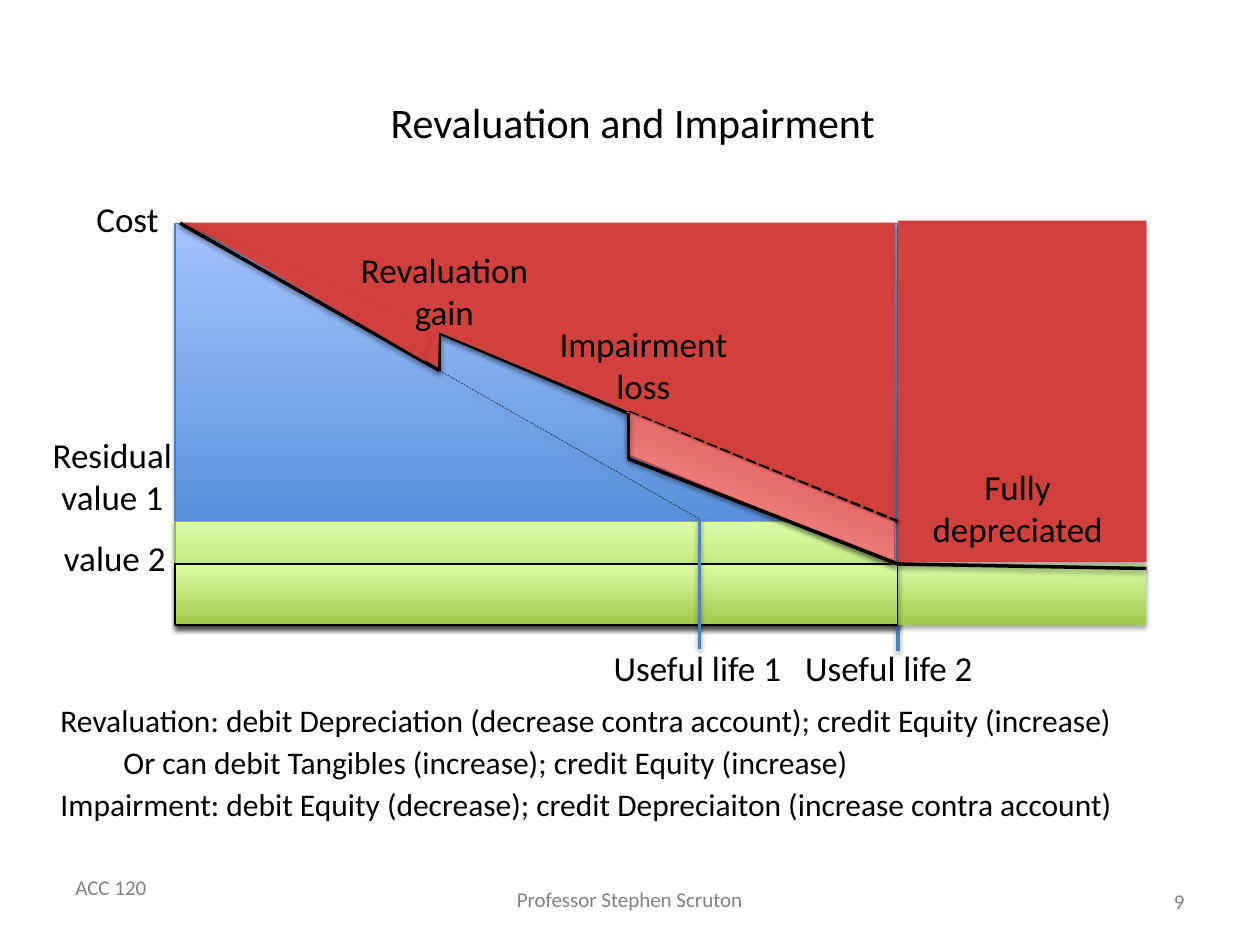
from lxml import etree
from pptx import Presentation
from pptx.dml.color import RGBColor
from pptx.enum.dml import MSO_LINE
from pptx.enum.shapes import MSO_CONNECTOR, MSO_SHAPE
from pptx.enum.text import MSO_ANCHOR, PP_ALIGN
from pptx.oxml.ns import qn
from pptx.util import Cm, Pt

# Chart coordinates in cm
LEFT, LIFE1, LIFE2, END = 3.53, 14.1, 18.1, 23.11
TOP, RESIDUAL1, RESIDUAL2, BASE = 4.5, 10.52, 11.37, 12.6
REVALUED = 8.86
IMPAIRED = 12.67

BLACK, GREY, RED, BLUE = "000000", "808080", "D1403C", "4F81BD"
BLUE_FADE = ("3F80CE", "A4C4FF")
GREEN_FADE = ("A0CA4A", "DAFFA5")
RED_FADE = (RED, "FFA6A5")
RED_EDGE = "BF4C48"


def color(value):
    return RGBColor.from_string(value)


def add_shadow(s, alpha, dist):
    effects = etree.SubElement(s._element.spPr, qn("a:effectLst"))
    shadow = etree.SubElement(effects, qn("a:outerShdw"), blurRad=str(Pt(3.1)),
                              dist=str(Pt(dist)), dir="5400000", rotWithShape="0")
    rgb = etree.SubElement(shadow, qn("a:srgbClr"), val=BLACK)
    etree.SubElement(rgb, qn("a:alpha"), val=str(alpha * 1000))


def add_area(slide, kind, x, y, w, h, fill, edge=None, rotation=0, flip=False):
    """Add a shaded area; a pair of colours fades from bottom to top."""
    s = slide.shapes.add_shape(kind, Cm(x), Cm(y), Cm(w), Cm(h))
    if isinstance(fill, tuple):
        s.fill.gradient()
        s.fill.gradient_angle = 90
        for stop, value in zip(s.fill.gradient_stops, fill):
            stop.color.rgb = color(value)
    else:
        s.fill.solid()
        s.fill.fore_color.rgb = color(fill)
    if edge:
        s.line.color.rgb = color(edge)
        s.line.width = Pt(0.75)
    else:
        s.line.fill.background()
    s.rotation = rotation
    if flip:
        s._element.spPr.find(qn("a:xfrm")).set("flipV", "1")
    add_shadow(s, 35, 1.8)
    return s


def add_line(slide, start, end, value=BLACK, width=2, dash=None):
    s = slide.shapes.add_connector(MSO_CONNECTOR.STRAIGHT,
                                   *(Cm(v) for v in start + end))
    s.line.color.rgb = color(value)
    s.line.width = Pt(width)
    if dash:
        s.line.dash_style = dash
    add_shadow(s, 38, 1.6)


def add_text(slide, x, y, w, h, text, size=20, value=BLACK,
             align=PP_ALIGN.CENTER, anchor=MSO_ANCHOR.TOP, wrap=False):
    s = slide.shapes.add_textbox(Cm(x), Cm(y), Cm(w), Cm(h))
    tf = s.text_frame
    tf.word_wrap = wrap
    tf.vertical_anchor = anchor
    tf.text = text
    for p in tf.paragraphs:
        p.alignment = align
        for r in p.runs:
            r.font.name = "Calibri"
            r.font.size = Pt(size)
            r.font.color.rgb = color(value)
    return tf


def add_footer(slide):
    add_text(slide, 1.27, 17.5, 1.96, 0.76, "ACC 120", 12, GREY, PP_ALIGN.LEFT)
    add_text(slide, 10.13, 17.75, 5.13, 0.76, "Professor Stephen Scruton", 12, GREY)
    add_text(slide, 18.21, 17.65, 5.92, 1.02, "9", 12, GREY, PP_ALIGN.RIGHT,
             MSO_ANCHOR.MIDDLE, wrap=True)


def add_book_value(slide):
    # Cost, first residual value and accumulated depreciation
    rect, triangle = MSO_SHAPE.RECTANGLE, MSO_SHAPE.RIGHT_TRIANGLE
    width = LIFE2 - LEFT
    add_area(slide, rect, LEFT, TOP, width, BASE - TOP, BLUE_FADE, "4B7EBC")
    add_area(slide, rect, LEFT, RESIDUAL1, width, BASE - RESIDUAL1, GREEN_FADE, "98B955")
    add_line(slide, (REVALUED, 6.71), (REVALUED, 7.47))
    add_line(slide, (REVALUED, 6.71), (IMPAIRED, 8.33))
    add_area(slide, triangle, 3.63, TOP, 14.4, RESIDUAL1 - TOP, RED, RED_EDGE, 180)
    add_line(slide, (LIFE2, RESIDUAL1), (LIFE2, 13.13), BLUE)

    # Fully depreciated period
    width = END - LIFE2
    add_area(slide, rect, LIFE2, RESIDUAL2, width, BASE - RESIDUAL2, GREEN_FADE)
    add_line(slide, (END, 11.46), (LIFE2, RESIDUAL2))
    add_area(slide, rect, LIFE2, 4.45, width, 6.88, RED)


def add_impairment(slide):
    add_area(slide, MSO_SHAPE.RECTANGLE, LEFT, RESIDUAL2, LIFE2 - LEFT,
             BASE - RESIDUAL2, GREEN_FADE, BLACK)
    add_line(slide, (IMPAIRED, 8.31), (LIFE2, RESIDUAL1), dash=MSO_LINE.SQUARE_DOT)
    loss = add_area(slide, MSO_SHAPE.PARALLELOGRAM, 12.27, 9.45, 6.15, 0.79,
                    RED_FADE, RED_EDGE, 22.4, flip=True)
    loss.adjustments[0] = 0.415
    add_line(slide, (IMPAIRED, 9.25), (LIFE2, RESIDUAL2))
    add_line(slide, (IMPAIRED, 8.33), (IMPAIRED, 9.25))


def add_revaluation(slide):
    add_line(slide, (3.63, TOP), (REVALUED, 7.47))
    add_line(slide, (REVALUED, 7.47), (LIFE1, 10.46), width=0.25, dash=MSO_LINE.DASH)
    add_line(slide, (LIFE1, 10.46), (LIFE1, 13.08), BLUE)
    # Slivers that complete the depreciation area up to the gain
    triangle = MSO_SHAPE.RIGHT_TRIANGLE
    add_area(slide, triangle, 3.38, 5.54, 5.54, 0.66, RED, rotation=203.5)
    add_area(slide, triangle, 8.51, 6.86, 0.66, 0.33, RED, rotation=298.1, flip=True)


def add_labels(slide):
    labels = [
        (1.68, 3.86, 1.78, 1.12, "Cost"),
        (0.79, 8.61, 2.95, 1.96, "Residual\nvalue 1"),
        (1.02, 10.69, 2.59, 1.12, "value 2"),
        (6.99, 4.88, 3.94, 1.96, "Revaluation\ngain"),
        (11, 6.38, 3.94, 1.96, "Impairment\nloss"),
        (18.52, 9.25, 3.99, 1.96, "Fully\ndepreciated"),
        (12.09, 12.9, 3.94, 1.12, "Useful life 1"),
        (15.95, 12.9, 3.94, 1.12, "Useful life 2"),
    ]
    for label in labels:
        add_text(slide, *label)


def add_entries(slide):
    tf = add_text(
        slide, 0.97, 13.94, 22.02, 2.79,
        "Revaluation: debit Depreciation (decrease contra account); credit Equity (increase)\n"
        "Or can debit Tangibles (increase); credit Equity (increase)\n"
        "Impairment: debit Equity (decrease); credit Depreciaiton (increase contra account)",
        18, align=PP_ALIGN.LEFT)
    for p in tf.paragraphs:
        p.line_spacing = 1.1
    tf.paragraphs[1].level = 1


def main():
    prs = Presentation()
    prs.slide_width, prs.slide_height = Cm(25.4), Cm(19.05)
    slide = prs.slides.add_slide(prs.slide_layouts[6])
    add_footer(slide)
    add_text(slide, 1.96, 1.57, 21.59, 1.78, "Revaluation and Impairment", 24,
             anchor=MSO_ANCHOR.MIDDLE, wrap=True)
    add_book_value(slide)
    add_impairment(slide)
    add_revaluation(slide)
    add_labels(slide)
    add_entries(slide)
    prs.save("out.pptx")


if __name__ == "__main__":
    main()
